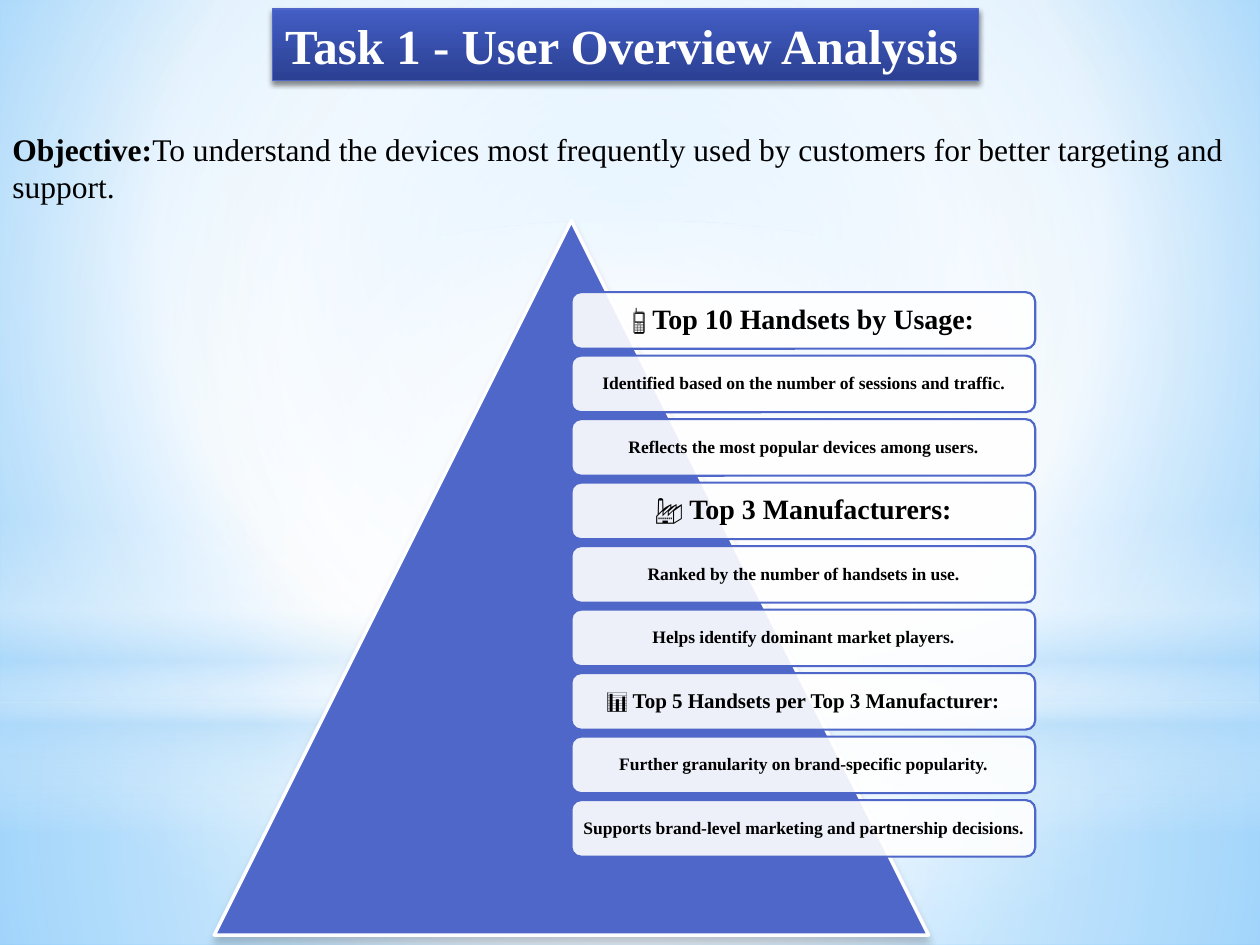
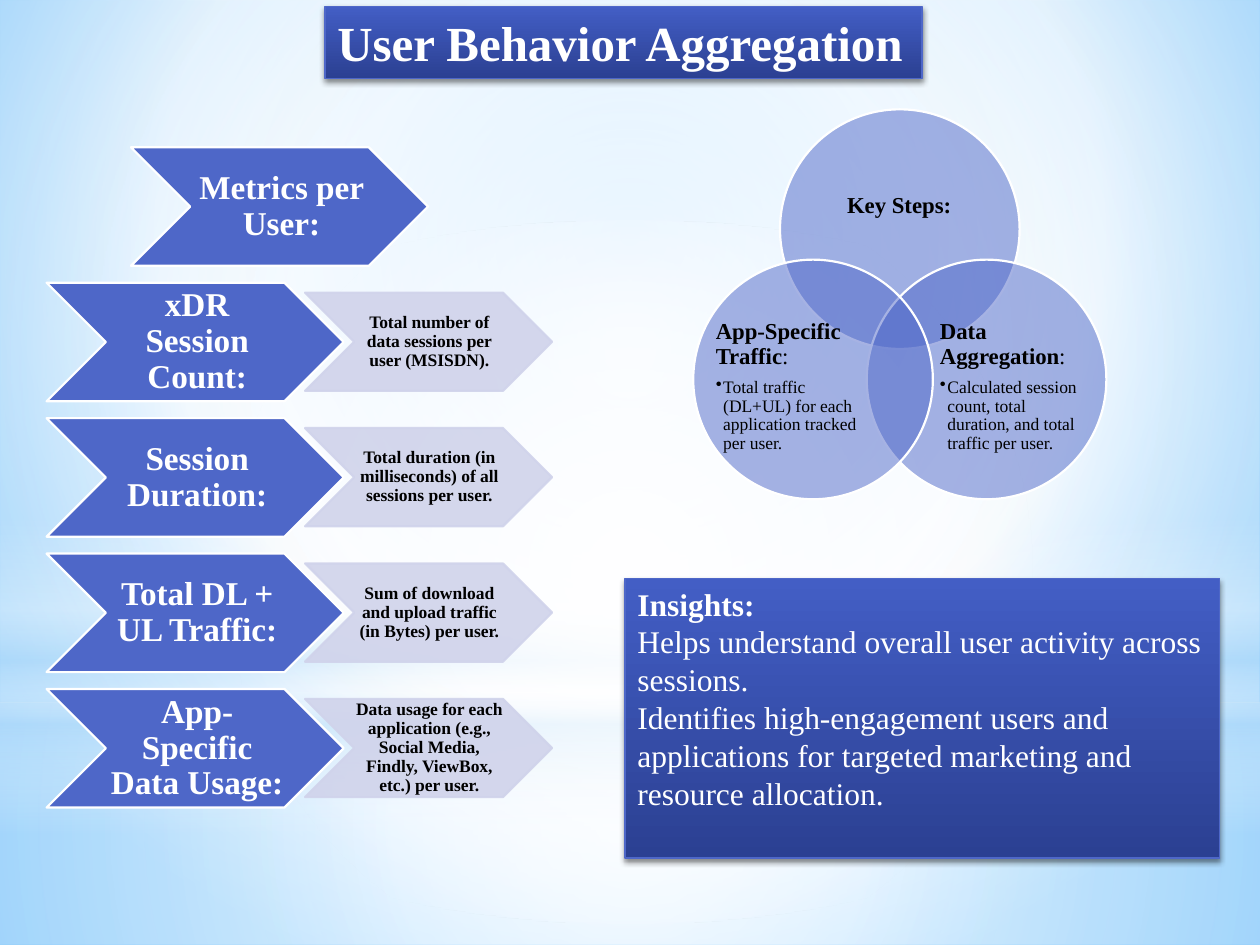
import math
import pptx
import pptx.dml.color
import pptx.enum.shapes
import pptx.enum.text
import pptx.oxml.ns
import pptx.util
from lxml import etree

Cm = pptx.util.Cm
Pt = pptx.util.Pt
qn = pptx.oxml.ns.qn
KIND = pptx.enum.shapes.MSO_SHAPE
ALIGN = pptx.enum.text.PP_ALIGN
ANCHOR = pptx.enum.text.MSO_ANCHOR
FONT = "Times New Roman"
TINT = {
    "blue": "4E67C8", "light": "435EC5", "deep": "2B4092", "pale": "D0D3EB",
    "white": "FFFFFF", "black": "000000", "sky": "B4DCFA",
    "inner": "9ED5FF", "outer": "5BB9FF",
}
PANEL = [(0, "light", 100), (100, "deep", 100)]
DROP = (45, 3.1, 1.8)
MID = (50, 50, 50, 50)


def tone(name):
    return pptx.dml.color.RGBColor.from_string(TINT[name])


def fade(node, part):
    for tint in node.iter(qn("a:srgbClr")):
        etree.SubElement(tint, qn("a:alpha"), val=str(part * 1000))


def blend(props, stops, focus=None):
    grad = etree.Element(qn("a:gradFill"), rotWithShape="1")
    steps = etree.SubElement(grad, qn("a:gsLst"))
    for place, name, part in stops:
        step = etree.SubElement(steps, qn("a:gs"), pos=str(place * 1000))
        etree.SubElement(step, qn("a:srgbClr"), val=TINT[name])
        if part < 100:
            fade(step, part)
    if focus:
        ring = etree.SubElement(grad, qn("a:path"))
        ring.set("path", "circle")
        rect = etree.SubElement(ring, qn("a:fillToRect"))
        for side, value in zip("ltrb", focus):
            rect.set(side, str(value * 1000))
    else:
        etree.SubElement(grad, qn("a:lin"), ang="5400000", scaled="0")
    props.replace(props.find(qn("a:solidFill")), grad)


class Deck:
    def __init__(self):
        self.file = pptx.Presentation()
        self.file.slide_width = Cm(25.4)
        self.file.slide_height = Cm(19.05)
        self.slide = None

    def start(self, title, left, top, width):
        self.slide = self.file.slides.add_slide(self.file.slide_layouts[6])
        self.slide.background.fill.solid()
        props = next(self.slide._element.iter(qn("p:bgPr")))
        blend(props, [(0, "inner", 100), (60, "white", 100), (100, "outer", 100)], (20, 10, 20, 60))
        self.shape(KIND.RECTANGLE, (0, 14.17, 25.4, 4.88), focus=MID,
                   stops=[(0, "white", 91), (37, "white", 76), (100, "sky", 79)])
        self.shape(KIND.RECTANGLE, (0, 0, 25.4, 14.17), focus=MID,
                   stops=[(0, "white", 89), (48, "white", 62), (100, "sky", 79)])
        self.shape(KIND.RECTANGLE, (0, 10.46, 25.4, 6.35),
                   stops=[(0, "white", 0), (29, "white", 30), (45, "sky", 40),
                          (55, "white", 26), (65, "sky", 60), (100, "white", 0)])
        self.shape(KIND.OVAL, (0, 4.45, 25.4, 14.17), focus=MID,
                   stops=[(0, "white", 100), (56, "white", 0)])
        box = self.panel((left, top, width, 1.45))
        self.words(box, [title], 28, "white", bold=True)
        box.text_frame.word_wrap = False

    def shape(self, kind, area, fill="white", line=None, weight=1.25, part=100,
              stops=None, focus=None, drop=None):
        item = self.slide.shapes.add_shape(kind, *map(Cm, area))
        item.shadow.inherit = False
        props = item._element.spPr
        item.fill.solid()
        item.fill.fore_color.rgb = tone(fill)
        if part < 100:
            fade(props.find(qn("a:solidFill")), part)
        if stops:
            blend(props, stops, focus)
        if line:
            item.line.color.rgb = tone(line)
            item.line.width = Pt(weight)
        else:
            item.line.fill.background()
        if drop:
            dark, blur, dist = drop
            cast = etree.SubElement(
                props.find(qn("a:effectLst")), qn("a:outerShdw"), blurRad=str(Pt(blur)),
                dist=str(Pt(dist)), dir="5400000", rotWithShape="0")
            etree.SubElement(cast, qn("a:srgbClr"), val=TINT["black"])
            fade(cast, dark)
        return item

    def panel(self, area):
        return self.shape(KIND.RECTANGLE, area, line="blue", weight=0.75, stops=PANEL, drop=DROP)

    def text(self, area):
        return self.slide.shapes.add_textbox(*map(Cm, area))

    def words(self, item, lines, size, color="black", bold=False, align=ALIGN.LEFT,
              anchor=ANCHOR.TOP, pad=None, space=None):
        frame = item.text_frame
        frame.word_wrap = True
        frame.vertical_anchor = anchor
        if pad:
            (frame.margin_left, frame.margin_top,
             frame.margin_right, frame.margin_bottom) = map(Cm, pad)
        for index, line in enumerate(lines):
            para = frame.paragraphs[0] if index == 0 else frame.add_paragraph()
            para.alignment = align
            if space:
                para.line_spacing = space
            self.style(para, size, color)
            if isinstance(line, str):
                para.add_run().text = line
                para.font.bold = bold
            else:
                for piece, heavy in line:
                    run = para.add_run()
                    run.text = piece
                    run.font.bold = heavy
        return frame

    def style(self, para, size, color):
        para.font.name = FONT
        para.font.size = Pt(size)
        para.font.color.rgb = tone(color)

    def label(self, item, line, size, color="black", pad=(0, 0, 0, 0)):
        return self.words(item, [line], size, color, True, ALIGN.CENTER, ANCHOR.MIDDLE, pad, 0.9)

    def bullet(self, frame, line):
        frame.paragraphs[-1].space_after = Pt(5)
        para = frame.add_paragraph()
        para.level = 1
        para.line_spacing = 0.9
        props = para._p.get_or_add_pPr()
        props.set("marL", str(Cm(0.15)))
        props.set("indent", str(Cm(-0.15)))
        etree.SubElement(props, qn("a:buChar"), char="•")
        self.style(para, 10, "black")
        para.add_run().text = line


def users(deck):
    deck.start("Task 1 - User Overview Analysis", 5.5, 0.18, 14.23)
    deck.words(deck.text((0, 2.49, 24.97, 1.8)), [[
        ("Objective:", True),
        ("To understand the devices most frequently used by customers "
         "for better targeting and support.", False),
    ]], 18)
    deck.shape(KIND.ISOSCELES_TRIANGLE, (4.32, 4.45, 14.4, 14.4), "blue", "white", 2,
               drop=(20, 5, 4))
    rows = [
        ("📱 Top 10 Handsets by Usage:", 16),
        ("Identified based on the number of sessions and traffic.", 10),
        ("Reflects the most popular devices among users.", 10),
        ("🏭 Top 3 Manufacturers:", 16),
        ("Ranked by the number of handsets in use.", 10),
        ("Helps identify dominant market players.", 10),
        ("📊 Top 5 Handsets per Top 3 Manufacturer:", 12),
        ("Further granularity on brand-specific popularity.", 10),
        ("Supports brand-level marketing and partnership decisions.", 10),
    ]
    for index, (line, size) in enumerate(rows):
        bar = deck.shape(KIND.ROUNDED_RECTANGLE, (11.52, 5.89 + index * 1.28, 9.35, 1.14),
                         line="blue", part=90)
        deck.label(bar, line, size, pad=[size * 0.01] * 4)


def habits(deck):
    deck.start("User Behavior Aggregation", 6.55, 0.13, 12.04)
    rows = [
        ("Metrics per User:", None),
        ("xDR Session Count:", "Total number of data sessions per user (MSISDN)."),
        ("Session Duration:", "Total duration (in milliseconds) of all sessions per user."),
        ("Total DL + UL Traffic:", "Sum of download and upload traffic (in Bytes) per user."),
        ("App-Specific Data Usage:",
         "Data usage for each application (e.g., Social Media, Findly, ViewBox, etc.) per user."),
    ]
    for index, (name, note) in enumerate(rows):
        top = 2.97 + index * 2.73
        left = 0.94 if note else 2.64
        arrow = deck.shape(KIND.CHEVRON, (left, top, 5.99, 2.39), "blue", "white")
        deck.label(arrow, name, 19, "white", (0.08, 0.03, 0, 0.03))
        if note:
            side = deck.shape(KIND.CHEVRON, (6.15, top + 0.2, 4.98, 1.98), "pale", "pale", part=90)
            fade(side._element.spPr.find(qn("a:ln")), 90)
            deck.label(side, note, 10, pad=(0.03, 0.03, 0, 0.03))

    steps = [
        ("Key Steps:", None, (16.36, 3.07, 3.53, 2.16)),
        ("Data Aggregation",
         "Calculated session count, total duration, and total traffic per user.",
         (18.95, 6.48, 2.9, 2.64)),
        ("App-Specific Traffic",
         "Total traffic (DL+UL) for each application tracked per user.",
         (14.43, 6.48, 2.9, 2.64)),
    ]
    size, reach = 4.83, 2.02
    for index, (name, note, area) in enumerate(steps):
        turn = math.radians(index * 120 - 90)
        left = 18.14 + reach * math.cos(turn) - size / 2
        top = 6.64 + reach * math.sin(turn) - size / 2
        deck.shape(KIND.OVAL, (left, top, size, size), "blue", "white", part=50)
        box = deck.text(area)
        if note:
            frame = deck.words(box, [[(name, True), (":", False)]], 13,
                               anchor=ANCHOR.MIDDLE, pad=(0, 0, 0, 0), space=0.9)
            deck.bullet(frame, note)
        else:
            deck.label(box, name, 13)

    deck.words(deck.panel((12.6, 11.66, 11.99, 5.64)), [
        [("Insights:", True)],
        "Helps understand overall user activity across sessions.",
        "Identifies high-engagement users and applications for targeted marketing "
        "and resource allocation.",
    ], 18, "white")


def main():
    deck = Deck()
    users(deck)
    habits(deck)
    deck.file.save("out.pptx")


if __name__ == "__main__":
    main()
